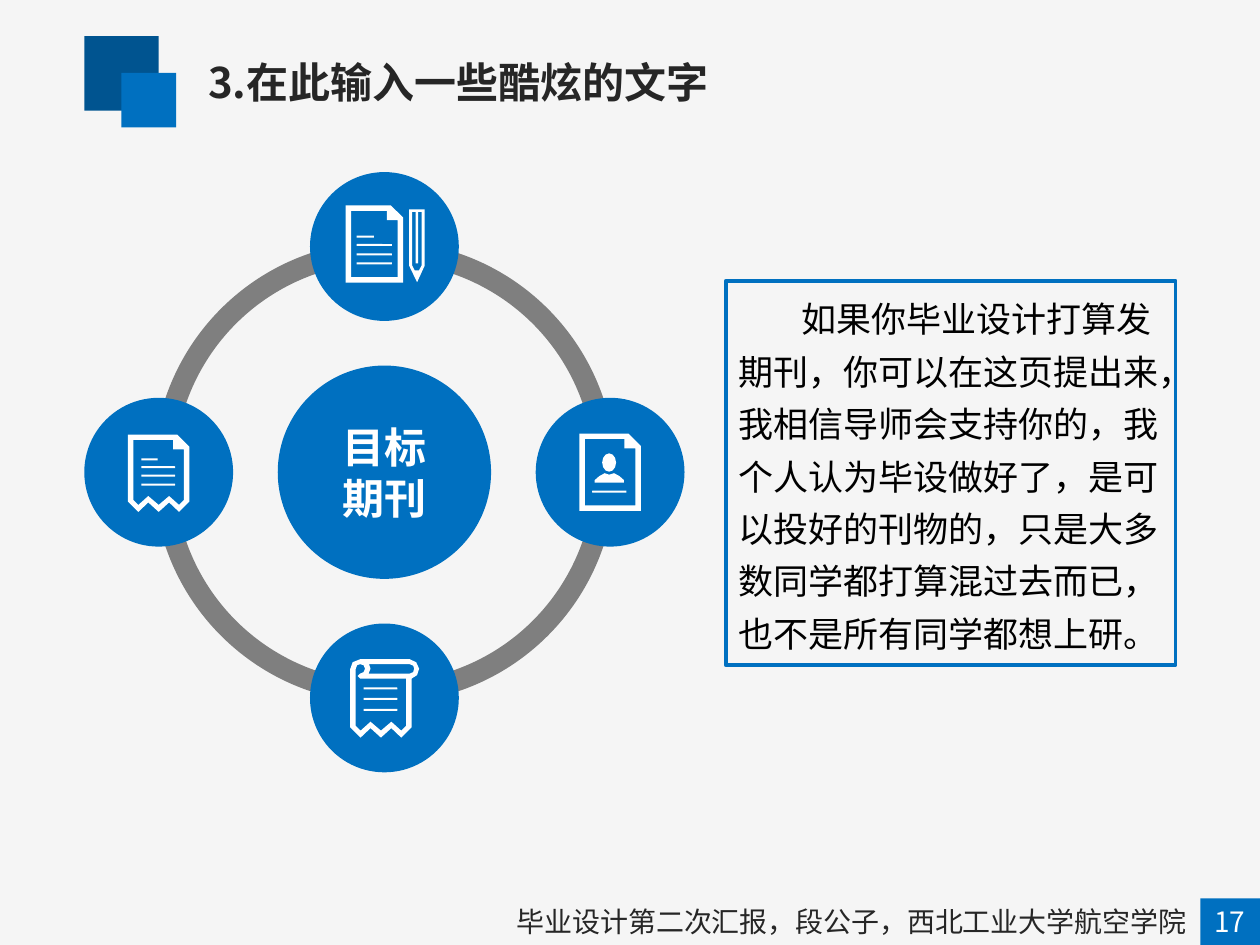
"""Build the target-journal slide: a ring of four document icons beside a text box."""
from lxml.etree import SubElement
from pptx import Presentation
from pptx.dml.color import RGBColor
from pptx.enum.shapes import MSO_SHAPE as SHAPE
from pptx.enum.text import MSO_ANCHOR as ANCHOR, MSO_AUTO_SIZE as AUTO, PP_ALIGN as ALIGN
from pptx.oxml.ns import qn
from pptx.util import Cm, Pt

BLUE = RGBColor(0x00, 0x70, 0xC0)
NAVY = RGBColor(0x00, 0x54, 0x90)
GRAY = RGBColor(0x7F, 0x7F, 0x7F)
INK = RGBColor(0x26, 0x26, 0x26)
BLACK = RGBColor(0, 0, 0)
WHITE = RGBColor(0xFF, 0xFF, 0xFF)
PAPER = RGBColor(0xF5, 0xF5, 0xF5)
CJK = "Noto Sans CJK SC"

TITLE = "3.在此输入一些酷炫的文字"
BODY = ("如果你毕业设计打算发期刊，你可以在这页提出来，我相信导师会支持你的，"
        "我个人认为毕设做好了，是可以投好的刊物的，只是大多数同学都打算混过去而已，"
        "也不是所有同学都想上研。")
FOOTER = "毕业设计第二次汇报，段公子，西北工业大学航空学院"
PAGE_NUMBER = "17"
HUB = ["目标", "期刊"]

CX, CY, ORBIT = 7.75, 9.52, 4.55
RING, HUB_SIZE, NODE = 9.32, 4.3, 3
QUADRANTS = [(108, 162), (54, 108), (0, 54), (162, 0)]

TORN_OUT = [(6.2, 5.9), (4.1, 8), (2.1, 6.1), (0, 8), (-2.1, 6.1), (-4.1, 8), (-6.2, 5.9)]
TORN_IN = [(5.1, 5.6), (4.1, 6.6), (2.1, 4.8), (0, 6.6), (-2.1, 4.8), (-4.1, 6.6), (-5.1, 5.6)]


def shift(points, dx):
    return [(x + dx, y) for x, y in points]


def page(left, top, right, bottom, torn=False, wall=1.1):
    foot_out = TORN_OUT if torn else [(right, bottom), (left, bottom)]
    foot_in = TORN_IN if torn else [(right - wall, bottom - wall), (left + wall, bottom - wall)]
    outer = [(left, top), (right - 2.5, top), (right, top + 2.5)] + foot_out
    inner = [(left + wall, top + wall), (right - 3.3, top + wall), (right - 3.3, top + 3),
             (right - wall, top + 3)] + foot_in
    return [outer, inner]


PENCIL = [
    [(5, -7.5), (8.1, -7.5), (8.1, 3.9), (6.6, 7.2), (5, 3.9)],
    [(5.6, -7), (6.3, -7), (6.3, 3.4), (6.8, 3.4), (6.8, -7), (7.5, -7), (7.5, 3.8),
     (7, 4.8), (6.1, 4.8), (5.6, 3.8)],
]
SCROLL = [
    shift(TORN_OUT, -0.7) + [(-6.9, -5.8), (-6.4, -7.2), (-4.9, -7.8), (5.1, -7.8), (6.4, -7.2),
                             (7, -5.9), (6.6, -4.6), (5.5, -3.9)],
    shift(TORN_IN, -0.7) + [(-5.8, -5.8), (-5.5, -6.6), (-4.9, -6.8), (-4.2, -6.6), (-3.9, -5.9),
                            (-4.2, -5.2), (-4.9, -4.9), (-5.4, -4.4), (-4.9, -3.9), (4.4, -3.9)],
    [(5.1, -4.9), (-3.2, -4.9), (-2.8, -5.9), (-3.1, -6.8), (5.1, -6.8), (5.8, -6.5),
     (6, -5.9), (5.8, -5.2)],
]
SHOULDERS = [[(-3.1, 2.1), (2.8, 2.1), (2.8, 1.6), (1.9, 0.8), (0.8, 0.2), (-0.2, 0.5),
              (-1.1, 0.2), (-2.2, 0.8), (-3.1, 1.6)]]
HEAD = (-1.6, -3.8, 2.8, 3.7)

ICONS = [
    {"dir": (0, 1), "outlines": [SCROLL],
     "bars": [(-4.2, y, 6.8) for y in (-2.1, 0, 2.2)]},
    {"dir": (-1, 0), "outlines": [page(-6.2, -7.6, 6.2, 8, torn=True)],
     "bars": [(-3.5, -2.8, 3.3)] + [(-3.5, y, 6.8) for y in (-1.2, 0.5, 2.3)]},
    {"dir": (0, -1), "outlines": [page(-7.8, -8.3, 3.8, 7.3), PENCIL],
     "bars": [(-5.6, -2.2, 3.5)] + [(-5.6, y, 7.1) for y in (-0.5, 1.4, 3.2)]},
    {"dir": (1, 0), "outlines": [page(-6.2, -7.8, 6.2, 7.8), SHOULDERS],
     "bars": [(-3.6, 3.7, 6.9)], "head": HEAD},
]


def paint(sp, color):
    sp.shadow.inherit = False
    sp.fill.solid()
    sp.fill.fore_color.rgb = color
    sp.line.fill.background()
    return sp


def add_block(s, kind, left, top, width, height, color):
    return paint(s.shapes.add_shape(kind, Cm(left), Cm(top), Cm(width), Cm(height)), color)


def add_centred(s, kind, x, y, size, color):
    return add_block(s, kind, x - size / 2, y - size / 2, size, size, color)


def add_outline(s, contours, x, y):
    builder = None
    for contour in contours:
        points = [(Cm(px / 10), Cm(py / 10)) for px, py in contour]
        if builder is None:
            builder = s.shapes.build_freeform(*points[0])
        else:
            builder.move_to(*points[0])
        builder.add_line_segments(points[1:], close=True)
    paint(builder.convert_to_shape(Cm(x), Cm(y)), WHITE)


def place(sp, left, top, width, height):
    sp.left, sp.top, sp.width, sp.height = Cm(left), Cm(top), Cm(width), Cm(height)


def write(sp, lines, size, color, align=ALIGN.LEFT, bold=False, font=CJK, anchor=ANCHOR.TOP):
    tf = sp.text_frame
    tf.word_wrap, tf.auto_size, tf.vertical_anchor = True, AUTO.NONE, anchor
    for i, line in enumerate(lines):
        p = tf.add_paragraph() if i else tf.paragraphs[0]
        p.alignment = align
        r = p.add_run()
        r.text = line
        r.font.size, r.font.bold, r.font.name = Pt(size), bold, font
        r.font.color.rgb = color
        SubElement(r.font._element, qn("a:ea")).set("typeface", CJK)
    return tf


def add_label(s, text, left, width, color, align):
    sp = s.shapes.add_textbox(Cm(left), Cm(18.11), Cm(width), Cm(0.94))
    write(sp, [text], 16, color, align)


def add_icon(s, icon):
    dx, dy = icon["dir"]
    x, y = CX + dx * ORBIT, CY + dy * ORBIT
    add_centred(s, SHAPE.OVAL, x, y, NODE, BLUE)
    for left, top, width in icon["bars"]:
        add_block(s, SHAPE.ROUNDED_RECTANGLE, x + left / 10, y + top / 10, width / 10, 0.04, WHITE)
    for contours in icon["outlines"]:
        add_outline(s, contours, x, y)
    if "head" in icon:
        left, top, width, height = (v / 10 for v in icon["head"])
        add_block(s, SHAPE.OVAL, x + left, y + top, width, height, WHITE)


def main():
    prs = Presentation()
    prs.slide_width, prs.slide_height = Cm(25.4), Cm(19.05)
    s = prs.slides.add_slide(prs.slide_layouts[1])
    s.background.fill.solid()
    s.background.fill.fore_color.rgb = PAPER

    add_block(s, SHAPE.RECTANGLE, 1.7, 0.73, 1.5, 1.5, NAVY)
    add_block(s, SHAPE.RECTANGLE, 2.45, 1.47, 1.1, 1.1, BLUE)
    place(s.shapes.title, 3.94, 1.02, 19.76, 1.27)
    write(s.shapes.title, [TITLE], 24, INK, bold=True, anchor=ANCHOR.MIDDLE)

    add_block(s, SHAPE.RECTANGLE, 24.2, 18.11, 1.2, 0.94, BLUE)
    add_label(s, PAGE_NUMBER, 23.9, 1.78, WHITE, ALIGN.CENTER)
    add_label(s, FOOTER, 3.38, 20.8, INK, ALIGN.RIGHT)

    hub = add_centred(s, SHAPE.OVAL, CX, CY, HUB_SIZE, BLUE)
    write(hub, HUB, 24, WHITE, ALIGN.CENTER, True, "Arial", ANCHOR.MIDDLE)
    for start, end in QUADRANTS:
        arc = add_centred(s, SHAPE.BLOCK_ARC, CX, CY, RING, GRAY)
        for i, value in enumerate((start, end, 0.046)):
            arc.adjustments[i] = value
    for icon in ICONS:
        add_icon(s, icon)

    body = s.placeholders[1]
    place(body, 14.63, 5.66, 9.07, 7.75)
    body.line.color.rgb, body.line.width = BLUE, Pt(2)
    p = write(body, [BODY], 20, BLACK).paragraphs[0]
    p.line_spacing, p.space_before = 1.25, Pt(0)
    pPr = p._p.get_or_add_pPr()
    pPr.set("marL", "0")
    pPr.set("indent", str(Cm(1.27)))
    SubElement(pPr, qn("a:buNone"))

    prs.save("out.pptx")


if __name__ == "__main__":
    main()
